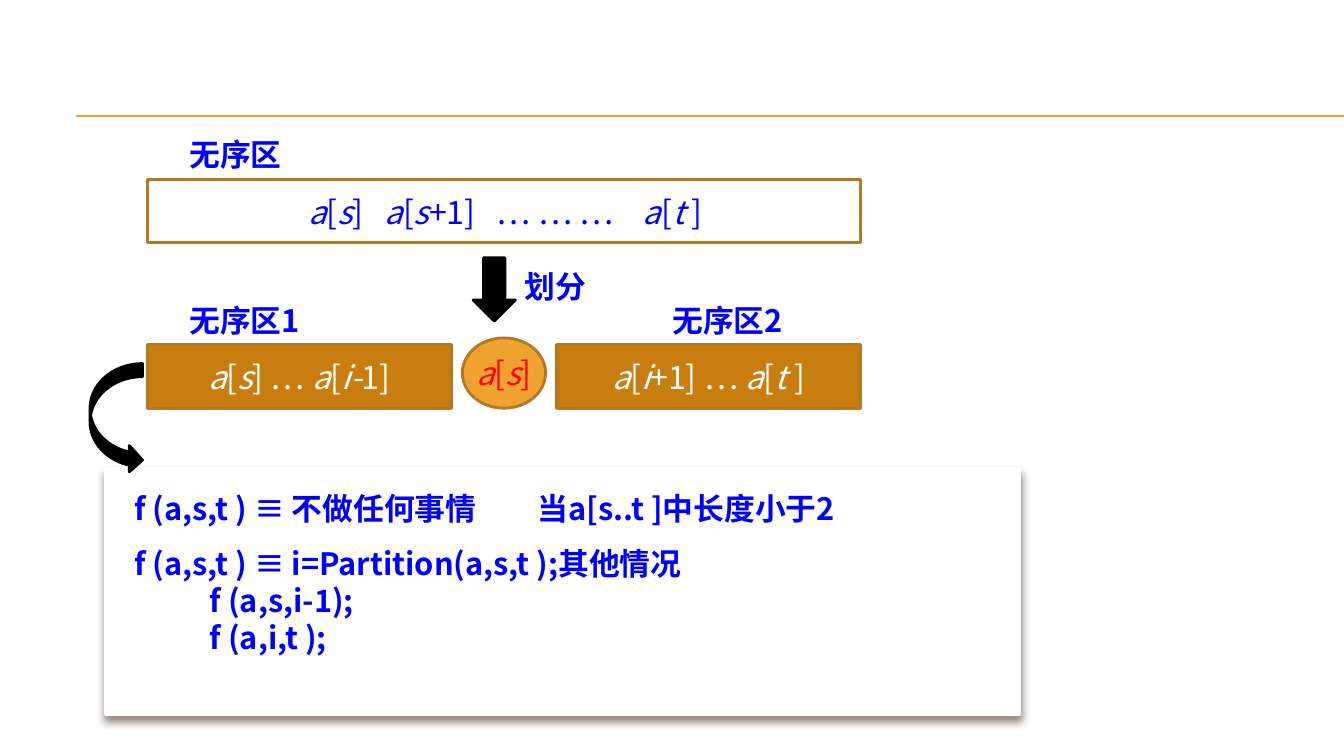
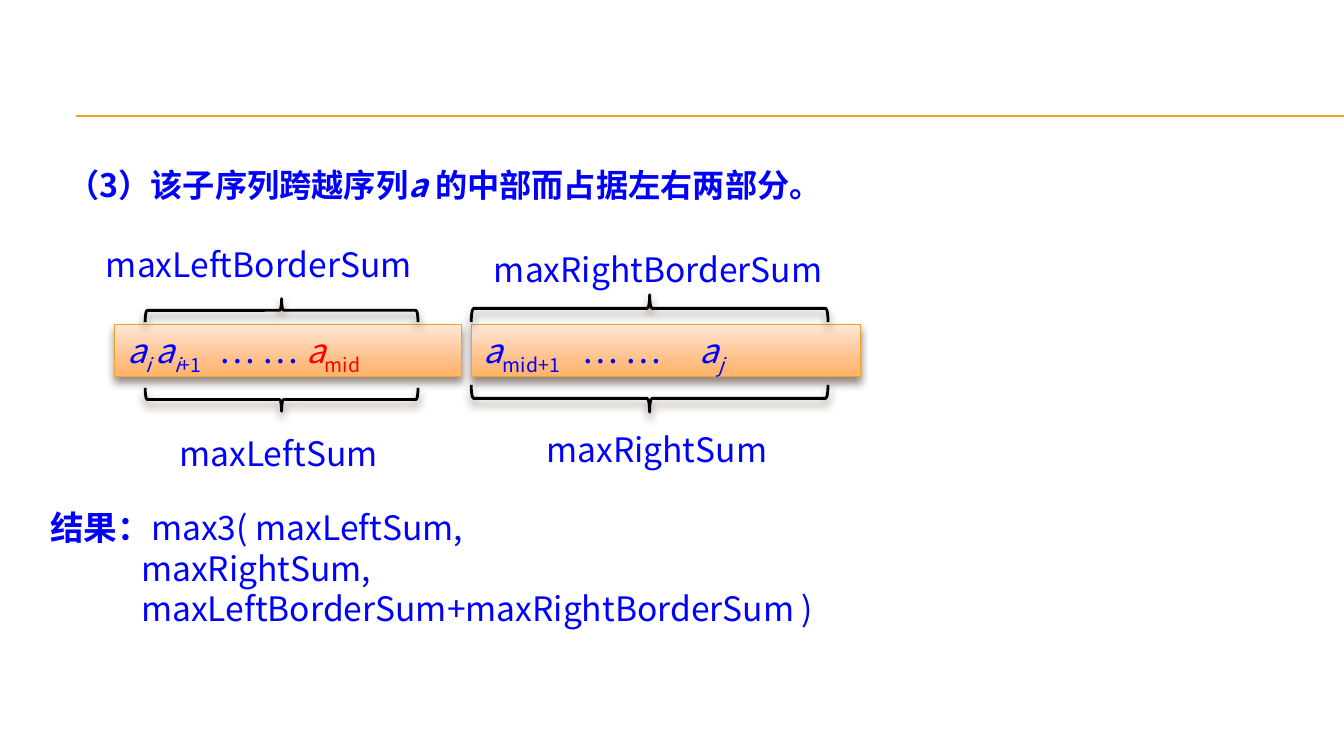
from itertools import groupby

from lxml import etree
from copy import deepcopy
from pptx import Presentation
from pptx.dml.color import RGBColor
from pptx.enum.shapes import MSO_CONNECTOR, MSO_SHAPE
from pptx.enum.text import MSO_ANCHOR, PP_ALIGN
from pptx.oxml.ns import qn
from pptx.util import Inches, Pt

RECT, OVAL, DOWN = MSO_SHAPE.RECTANGLE, MSO_SHAPE.OVAL, MSO_SHAPE.DOWN_ARROW
CURVE, BRACE = MSO_SHAPE.CURVED_RIGHT_ARROW, MSO_SHAPE.LEFT_BRACE
LINE = MSO_CONNECTOR.STRAIGHT
TOP, MID = MSO_ANCHOR.TOP, MSO_ANCHOR.MIDDLE
LEFT, MIDDLE = PP_ALIGN.LEFT, PP_ALIGN.CENTER

WIDE, HIGH = Inches(13.333), Inches(7.5)
FONT = "Noto Sans CJK SC"
HEX = {"blue": "0000FF", "red": "FF0000", "white": "FFFFFF", "black": "000000",
       "gold": "F0A22E", "brown": "C87D0E", "edge": "B27822", "shade": "4E3B30"}
GRAD = [(0, "FFE7D7"), (0.72, "FFBE84"), (1, "FFB468")]
MARKS = "*_~^"  # toggles: italic, subscript, bold, red
SMALL = (0.1, 0.05, 0.1, 0.05)
LARGE = (0.12, 0.06, 0.12, 0.06)


def rgb(name):
    return RGBColor.from_string(HEX[name])


def place(x, y, w, h):
    """Turn percentages of the slide into lengths."""
    return [round(share * side / 100)
            for share, side in zip((x, y, w, h), (WIDE, HIGH, WIDE, HIGH))]


def add_run(para, text, on, size, ink):
    run = para.add_run()
    run.text = text
    look = {"size": Pt(size), "bold": "~" in on, "italic": "*" in on, "name": FONT}
    run.font.color.rgb = rgb("red" if "^" in on else ink)
    for key, value in look.items():
        setattr(run.font, key, value)
    props = run.font._element
    etree.SubElement(props, qn("a:ea"), typeface=FONT)
    if "_" in on:
        props.set("baseline", "-25000")


def add_tabs(para, stops):
    tabs = etree.SubElement(para._p.get_or_add_pPr(), qn("a:tabLst"))
    for stop in stops:
        etree.SubElement(tabs, qn("a:tab"), pos=str(Inches(stop)), algn="l")


def write(shape, lines, size=24, ink="blue", pad=LARGE, anchor=TOP, align=LEFT):
    """Fill a shape with lines: marked text, or (marked text, paragraph format)."""
    frame = shape.text_frame
    sides = ("margin_left", "margin_top", "margin_right", "margin_bottom")
    look = dict(zip(sides, map(Inches, pad)), word_wrap=True, vertical_anchor=anchor)
    for key, value in look.items():
        setattr(frame, key, value)
    for i, line in enumerate(lines):
        text, form = (line, {}) if isinstance(line, str) else line
        para = frame.paragraphs[0] if i == 0 else frame.add_paragraph()
        para.alignment = align
        if "tabs" in form:
            add_tabs(para, form["tabs"])
        if "lead" in form:
            para.line_spacing = form["lead"]
        if "dent" in form:
            para._p.get_or_add_pPr().set("marL", str(Inches(form["dent"])))
        on = set()
        for mark, chars in groupby(text, lambda c: c in MARKS):
            if mark:
                on ^= set(chars)
            else:
                add_run(para, "".join(chars), on, size, ink)


def label(slide, box, lines, **form):
    write(slide.shapes.add_textbox(*place(*box)), lines, **form)


def block(slide, kind, box, fill=None, edge=None, width=2.0, shade=False):
    shape = slide.shapes.add_shape(kind, *place(*box))
    shape.shadow.inherit = False
    if fill:
        shape.fill.solid()
        shape.fill.fore_color.rgb = rgb(fill)
    else:
        shape.fill.background()
    if edge:
        shape.line.color.rgb = rgb(edge)
        shape.line.width = Pt(width)
    else:
        shape.line.fill.background()
    if shade:
        cast(shape)
    return shape


def cast(shape):
    """Add the soft shadow below a shape."""
    effects = shape._element.spPr.find(qn("a:effectLst"))
    drop = etree.SubElement(effects, qn("a:outerShdw"), blurRad=str(Pt(6)),
                            dist=str(Pt(4)), dir="5400000", rotWithShape="0")
    tint = etree.SubElement(drop, qn("a:srgbClr"), val=HEX["shade"])
    etree.SubElement(tint, qn("a:alpha"), val="60000")


def strip(slide, box, line):
    """Draw a shaded sequence strip."""
    shape = block(slide, RECT, box, edge="gold", width=0.79, shade=True)
    shape.fill.gradient()
    shape.fill.gradient_angle = 270
    stops = shape._element.spPr.find(".//" + qn("a:gsLst"))
    stops.append(deepcopy(stops[-1]))
    for stop, (at, tint) in zip(shape.fill.gradient_stops, GRAD):
        stop.position = at
        stop.color.rgb = RGBColor.from_string(tint)
    write(shape, [line])


def brace(slide, box, turn):
    """Draw a flat brace that covers the box once turned."""
    shape = block(slide, BRACE, box, edge="black", shade=True)
    x, y, w, h = place(*box)
    shape.left, shape.top = x + (w - h) // 2, y + (h - w) // 2
    shape.width, shape.height = h, w
    shape.rotation = turn


def new_slide(deck):
    slide = deck.slides.add_slide(deck.slide_layouts[6])
    for y in (15.33, 15.47):
        x, y, w, _ = place(5.63, y, 94.37, 0)
        rule = slide.shapes.add_connector(LINE, x, y, x + w, y)
        rule.line.color.rgb = rgb("gold")
        rule.line.width = Pt(0.75)
        etree.SubElement(rule._element.spPr, qn("a:effectLst"))
    return slide


def sort_slide(deck):
    slide = new_slide(deck)
    cell = {"size": 23, "pad": SMALL, "anchor": MID}
    whole = block(slide, RECT, (10.95, 23.73, 53.1, 8.4), edge="edge")
    write(whole, [("\t*a*[*s*]\t*a*[*s*+1]\t… … …\t*a*[*t *]",
                   {"tabs": (1.5, 2.26, 3.37, 4.82)})], **cell)
    block(slide, DOWN, (35.2, 34.1, 3.15, 8.4), "black", "black")
    for x, text in ((10.95, "*a*[*s*] … *a*[*i-*1]"), (41.4, "*a*[*i*+1] … *a*[*t *]")):
        part = block(slide, RECT, (x, 45.6, 22.65, 8.4), "brown", "edge")
        write(part, [text], ink="white", align=MIDDLE, **cell)
    pivot = block(slide, OVAL, (34.4, 44.7, 6.2, 9.3), "gold", "edge")
    write(pivot, ["*a*[*s*]"], ink="red", align=MIDDLE,
          **{**cell, "pad": (0, 0.05, 0, 0.05)})
    for x, y, text in ((13.35, 17.33, "无序区"), (13.35, 39.2, "无序区1"),
                       (49.3, 39.3, "无序区2"), (38.3, 34.7, "划分")):
        label(slide, (x, y, 16, 6.5), ["~" + text], size=22, pad=SMALL)
    card = block(slide, RECT, (7.9, 62.1, 67.9, 32.4), "white", "white", 3, True)
    write(card, [("~f (a,s,t ) ≡ 不做任何事情\t当a[s..t ]中长度小于2", {"tabs": (4,)}),
                 ("~f (a,s,t ) ≡ i=Partition(a,s,t );其他情况", {"lead": 1.5}),
                 ("~f (a,s,i-1);", {"dent": 0.75}),
                 ("~f (a,i,t );", {"dent": 0.75})],
          size=22, pad=(0.28, 0.2, 0.1, 0.2))
    block(slide, CURVE, (6.7, 48.1, 3.9, 14.5), "black", "black")


def sum_slide(deck):
    slide = new_slide(deck)
    head = block(slide, RECT, (4.1, 18.8, 61, 8.4), "white")
    write(head, [("~（3）该子序列跨越序列*a *的中部而占据左右两部分。", {"lead": Pt(39.7)})],
          size=23)
    strip(slide, (8.55, 42.9, 25.8, 6.9),
          ("*a_i _a_i*+1_\t… … ^*a*_mid", {"tabs": (0.92,)}))
    strip(slide, (35.1, 42.9, 28.9, 6.9),
          ("*a*_mid+1_\t… …\t*a_j", {"tabs": (0.98, 2.14)}))
    for x, w, h, high, low in ((10.8, 20.3, 3.1, 39.5, 51.3),
                               (35.06, 26.55, 3.6, 39, 50.9)):
        brace(slide, (x, high, w, h), 90)
        brace(slide, (x, low, w, h), 270)
    for x, y, w, text in ((6.98, 31.5, 28.1, "maxLeftBorderSum"),
                          (35.85, 32.1, 32, "maxRightBorderSum"),
                          (12.45, 56.5, 18.8, "maxLeftSum"),
                          (39.75, 55.9, 20.9, "maxRightSum")):
        label(slide, (x, y, w, 6.9), [text])
    label(slide, (2.85, 66.3, 74.2, 17.7),
          ["~结果：~max3( maxLeftSum,", ("maxRightSum,", {"dent": 0.9}),
           ("maxLeftBorderSum+maxRightBorderSum )", {"dent": 0.9})])


def main():
    deck = Presentation()
    deck.slide_width, deck.slide_height = WIDE, HIGH
    sort_slide(deck)
    sum_slide(deck)
    deck.save("out.pptx")


if __name__ == "__main__":
    main()
